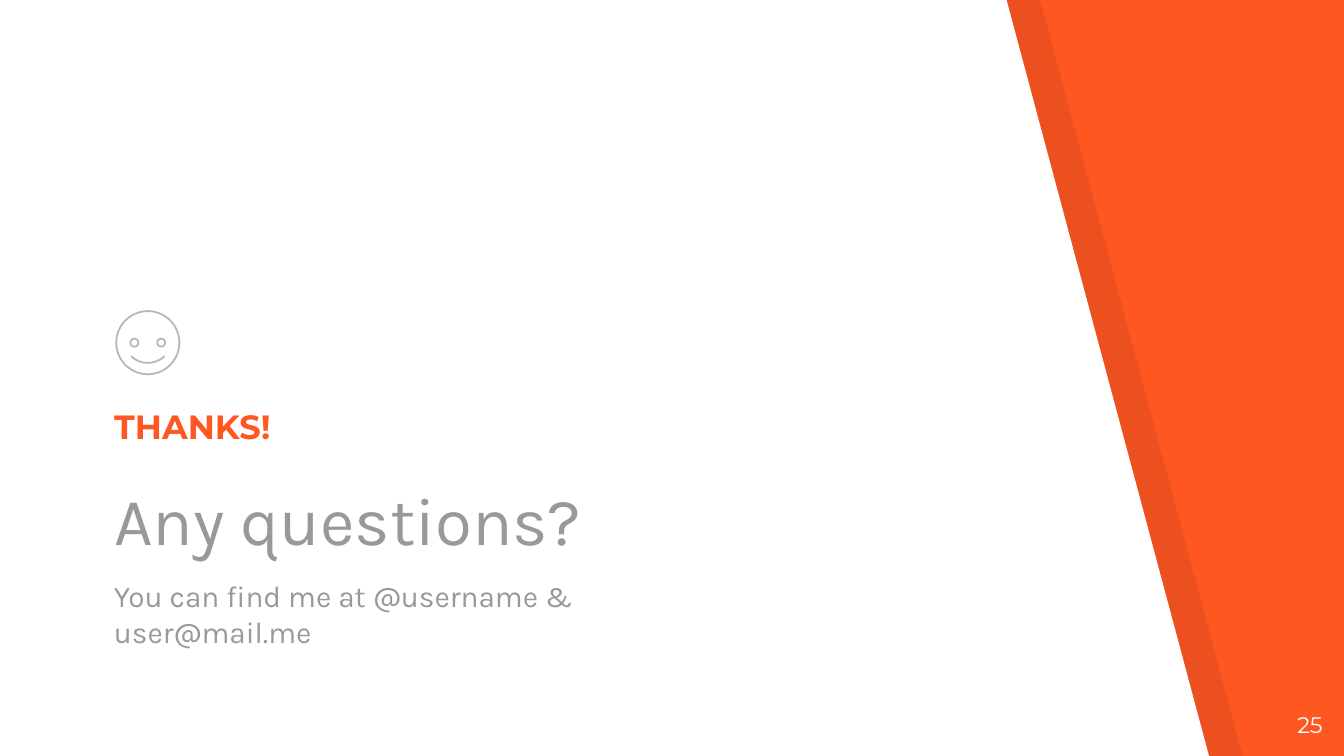
from math import asin, cos, sin

from lxml import etree
from pptx import Presentation
from pptx.dml.color import RGBColor
from pptx.enum import shapes, text
from pptx.oxml import ns
from pptx.util import Inches, Pt

ORANGE, WHITE, BLACK = "FF5722", "FFFFFF", "000000"
GRAY, LIGHT = "999999", "B7B7B7"

# words, box, font, size, colour, bold, space before
TITLE = ("THANKS!", (0.75, 2.15, 4.96, 1.27), "Montserrat", 18, ORANGE, True, 0)
SUB = ("Any questions?", (0.75, 3.46, 4.96, 0.86), "Karla", 36, GRAY, False, 6)
BODY = ("You can find me at @username & user@mail.me",
        (0.75, 4.2, 4.96, 1.1), "Karla", 16, GRAY, False, 6)
NUMBER = ("25", (9.34, 5.19, 0.6, 0.43), "Montserrat", 12, WHITE, False, 0)

# left edge, colour, opacity in percent
PANELS = [(0.25, BLACK, 7), (0, WHITE, 100)]
# centre x, centre y, width, height
OVALS = [(1.1, 2.55, 0.47, 0.47), (1.2, 2.55, 0.06, 0.06), (1, 2.55, 0.06, 0.06)]
SMILE = (1.1, 2.65, 0.25, 0.05)  # centre x, top, width, depth


def color(code):
    return RGBColor.from_string(code)


def write(shape, item, align=text.PP_ALIGN.LEFT, anchor=text.MSO_ANCHOR.TOP):
    words, box, font, size, code, bold, before = item
    shape.left, shape.top, shape.width, shape.height = map(Inches, box)
    frame = shape.text_frame
    frame.word_wrap = True
    frame.auto_size = text.MSO_AUTO_SIZE.NONE
    frame.vertical_anchor = anchor
    frame.margin_left = frame.margin_right = Inches(0.1)
    frame.margin_top = frame.margin_bottom = Inches(0.1)
    para = frame.paragraphs[0]
    para.alignment = align
    para.space_before = Pt(before)
    run = para.add_run()
    run.text = words
    run.font.name, run.font.size, run.font.bold = font, Pt(size), bold
    run.font.color.rgb = color(code)


def trace(points, close):
    """Build a freeform through points given in inches."""
    spots = [(Inches(x), Inches(y)) for x, y in points]
    pen = slide.shapes.build_freeform(*spots[0])
    pen.add_line_segments(spots[1:], close=close)
    shape = pen.convert_to_shape()
    shape.shadow.inherit = False
    return shape


def outline(shape):
    shape.shadow.inherit = False
    shape.fill.background()
    shape.line.color.rgb = color(LIGHT)
    shape.line.width = Pt(0.96)


deck = Presentation()
deck.slide_width, deck.slide_height = Inches(10), Inches(10 * 9 / 16)
slide = deck.slides.add_slide(deck.slide_layouts[0])
title = slide.shapes.title
back = slide.background.fill
back.solid()
back.fore_color.rgb = color(ORANGE)

for left, code, alpha in PANELS:
    panel = trace([(left, -0.01), (left, 5.64), (left + 9, 5.64), (left + 7.49, 0)], True)
    panel.fill.solid()
    panel.fill.fore_color.rgb = color(code)
    panel.line.fill.background()
    if alpha < 100:
        tone = panel.fill._xPr.find(ns.qn("a:solidFill"))[0]
        etree.SubElement(tone, ns.qn("a:alpha"), val=str(alpha * 1000))
    title._element.addprevious(panel._element)  # behind the words

write(title, TITLE, anchor=text.MSO_ANCHOR.BOTTOM)
write(slide.placeholders[1], SUB)
write(slide.shapes.add_textbox(0, 0, 0, 0), BODY)

for x, y, w, h in OVALS:
    box = map(Inches, (x - w / 2, y - h / 2, w, h))
    outline(slide.shapes.add_shape(shapes.MSO_SHAPE.OVAL, *box))

x, top, wide, deep = SMILE
radius = (wide ** 2 / 4 + deep ** 2) / (2 * deep)
half = asin(wide / 2 / radius)
turns = [half * step / 8 for step in range(-8, 9)]
outline(trace([(x + radius * sin(turn), top + deep - radius * (1 - cos(turn)))
               for turn in turns], False))

write(slide.shapes.add_textbox(0, 0, 0, 0), NUMBER, text.PP_ALIGN.RIGHT)
deck.save("out.pptx")
